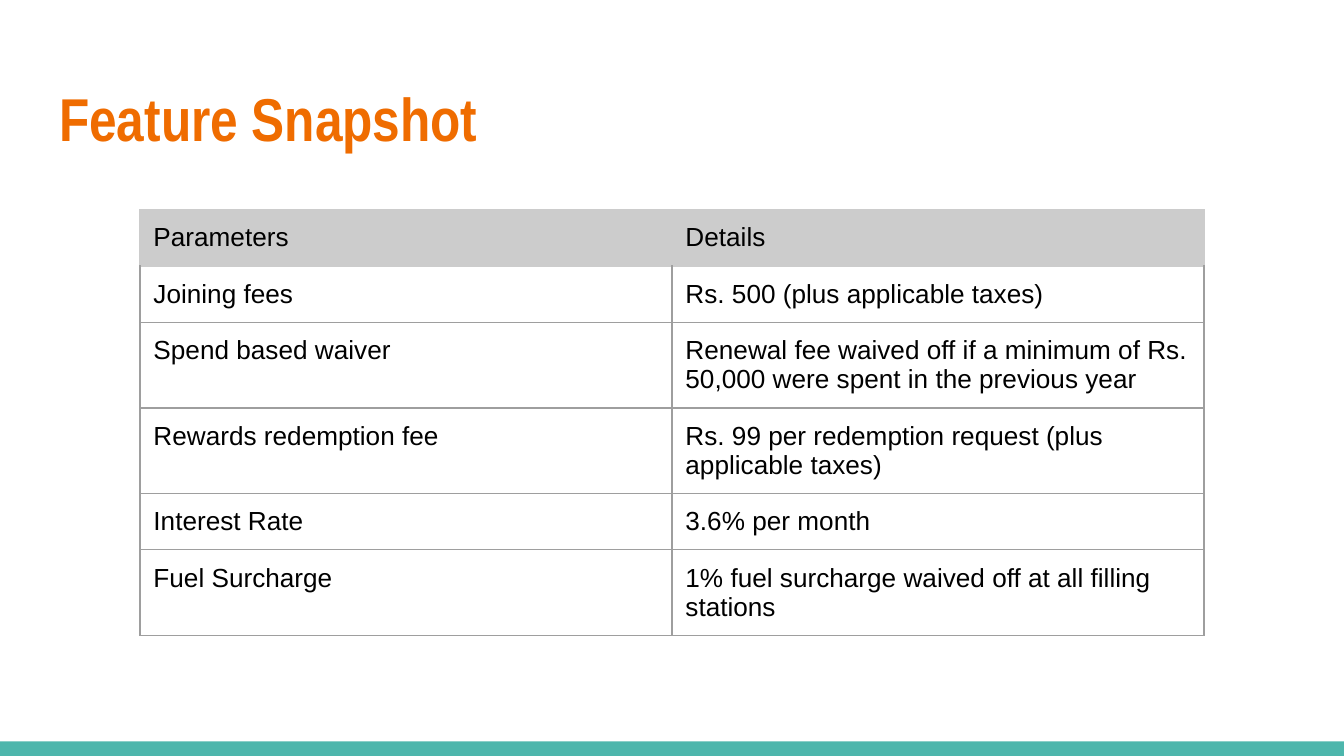
from lxml import etree
from pptx import Presentation
from pptx.dml.color import RGBColor
from pptx.enum.shapes import MSO_SHAPE
from pptx.enum.text import MSO_ANCHOR, PP_ALIGN
from pptx.oxml.ns import qn
from pptx.util import Pt

RECTANGLE = MSO_SHAPE.RECTANGLE
MIDDLE = MSO_ANCHOR.MIDDLE
TOP = MSO_ANCHOR.TOP
LEFT = PP_ALIGN.LEFT

COLORS = {
    "title": "EF6C00",
    "bar": "4DB6AC",
    "header": "CCCCCC",
    "border": "9E9E9E",
    "text": "000000",
}
SLIDE_WIDTH, SLIDE_HEIGHT = 720, 405
BAR_HEIGHT = 7.8
INSET = 7.2
TITLE_ONLY = 5

ROWS = [
    ("Parameters", "Details"),
    ("Joining fees", "Rs. 500 (plus applicable taxes)"),
    ("Spend based waiver",
     "Renewal fee waived off if a minimum of Rs. 50,000 were spent in the previous year"),
    ("Rewards redemption fee", "Rs. 99 per redemption request (plus applicable taxes)"),
    ("Interest Rate", "3.6% per month"),
    ("Fuel Surcharge", "1% fuel surcharge waived off at all filling stations"),
]


def rgb(name):
    return RGBColor.from_string(COLORS[name])


class SlideBuilder:
    """Holds the style and the current slide."""

    title_font, title_size = "Arial Narrow", 32.4
    body_font, body_size = "Arial", 14
    border_width = 0.75

    def __init__(self, slide):
        self.slide = slide

    def bar(self, left, top, width, height):
        shape = self.slide.shapes.add_shape(
            RECTANGLE, Pt(left), Pt(top), Pt(width), Pt(height))
        shape.shadow.inherit = False
        shape.fill.solid()
        shape.fill.fore_color.rgb = rgb("bar")
        shape.line.fill.background()

    def title(self, text, left, top, width, height):
        title = self.slide.shapes.title
        title.left, title.top = Pt(left), Pt(top)
        title.width, title.height = Pt(width), Pt(height)
        frame = title.text_frame
        frame.text = text
        frame.vertical_anchor = MIDDLE
        self.set_insets(frame)
        paragraph = frame.paragraphs[0]
        paragraph.alignment = LEFT
        self.set_font(paragraph, self.title_font, self.title_size, "title")
        paragraph.font.bold = True

    def table(self, rows, left, top, column_width, row_height):
        column_count = len(rows[0])
        table = self.slide.shapes.add_table(
            len(rows), column_count, Pt(left), Pt(top),
            Pt(column_width * column_count), Pt(row_height * len(rows))).table
        table.first_row = table.horz_banding = False
        for column in table.columns:
            column.width = Pt(column_width)
        for row_index, texts in enumerate(rows):
            # Rows holding two lines grow from this minimum height
            table.rows[row_index].height = Pt(row_height)
            for column_index, text in enumerate(texts):
                self.cell(table.cell(row_index, column_index), text, row_index)

    def cell(self, cell, text, row_index):
        cell.text = text
        cell.vertical_anchor = TOP
        self.set_insets(cell)
        paragraph = cell.text_frame.paragraphs[0]
        self.set_font(paragraph, self.body_font, self.body_size, "text")
        side_color = "header" if row_index == 0 else "border"
        top_color = "header" if row_index <= 1 else "border"
        self.cell_borders(cell, {"L": side_color, "R": side_color,
                                 "T": top_color, "B": side_color})
        if row_index == 0:
            cell.fill.solid()
            cell.fill.fore_color.rgb = rgb("header")
        else:
            cell.fill.background()

    def cell_borders(self, cell, side_colors):
        properties = cell._tc.get_or_add_tcPr()
        for side, color in side_colors.items():
            line = etree.SubElement(properties, qn(f"a:ln{side}"),
                                    w=str(Pt(self.border_width)))
            fill = etree.SubElement(line, qn("a:solidFill"))
            etree.SubElement(fill, qn("a:srgbClr"), val=COLORS[color])

    def set_insets(self, holder):
        holder.margin_left = holder.margin_right = Pt(INSET)
        holder.margin_top = holder.margin_bottom = Pt(INSET)

    def set_font(self, paragraph, name, size, color):
        paragraph.font.name = name
        paragraph.font.size = Pt(size)
        paragraph.font.color.rgb = rgb(color)


def main():
    presentation = Presentation()
    presentation.slide_width = Pt(SLIDE_WIDTH)
    presentation.slide_height = Pt(SLIDE_HEIGHT)
    layout = presentation.slide_layouts[TITLE_ONLY]
    builder = SlideBuilder(presentation.slides.add_slide(layout))

    # Bottom bar
    builder.bar(0, SLIDE_HEIGHT - BAR_HEIGHT, SLIDE_WIDTH, BAR_HEIGHT)

    # Title
    builder.title("Feature Snapshot", 24.5, 35.3, 671, 55.4)

    # Feature table, centred across the slide
    column_width = 285
    table_left = (SLIDE_WIDTH - 2 * column_width) / 2
    builder.table(ROWS, table_left, 112.3, column_width, 30)

    presentation.save("out.pptx")


if __name__ == "__main__":
    main()
